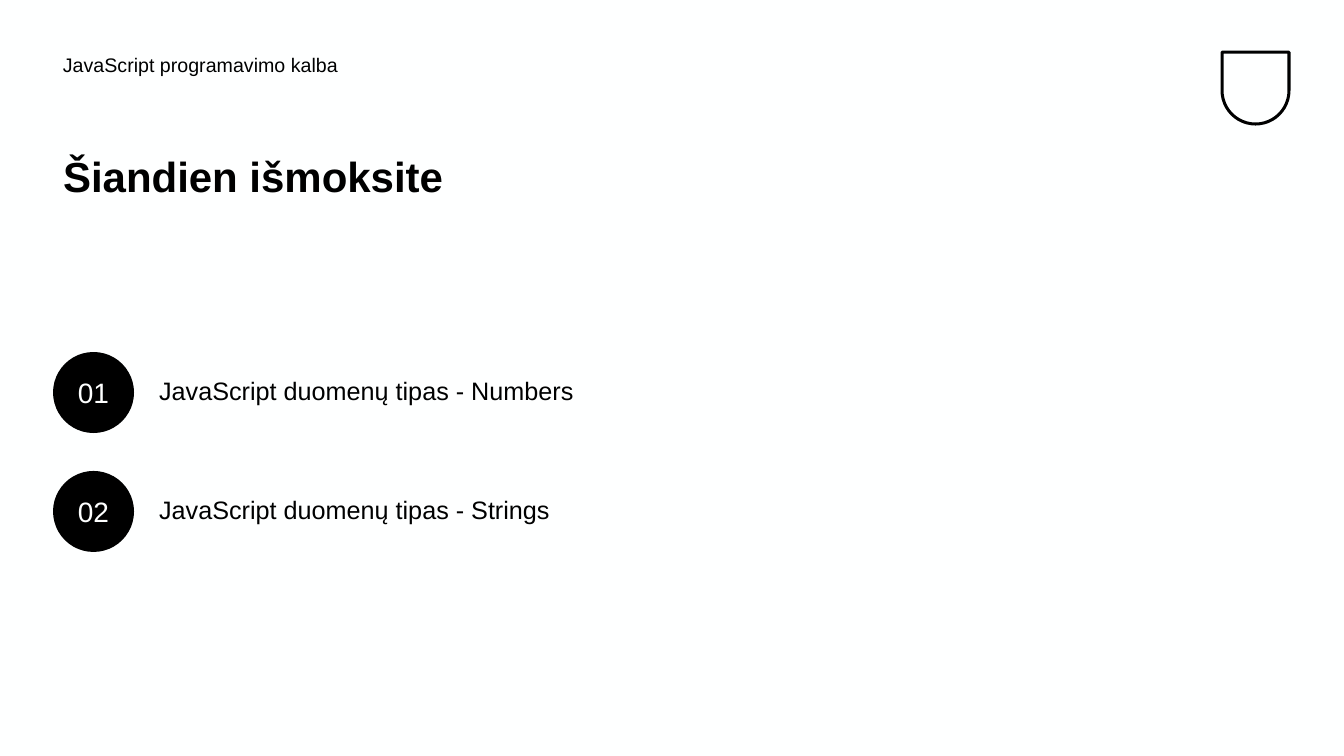
from collections import namedtuple
from dataclasses import dataclass

from lxml import etree
from pptx import Presentation
from pptx.dml.color import RGBColor
from pptx.enum.shapes import MSO_SHAPE
from pptx.enum.text import MSO_ANCHOR, MSO_AUTO_SIZE, PP_ALIGN
from pptx.oxml.ns import qn
from pptx.util import Pt

ELLIPSE = MSO_SHAPE.OVAL
SHIELD = MSO_SHAPE.ROUND_2_SAME_RECTANGLE
TOP, MIDDLE = MSO_ANCHOR.TOP, MSO_ANCHOR.MIDDLE
LEFT, CENTER = PP_ALIGN.LEFT, PP_ALIGN.CENTER
NO_AUTOFIT = MSO_AUTO_SIZE.NONE

EMU_PER_PX = 12192000 / 1344
Box = namedtuple("Box", "left top width height")


@dataclass(frozen=True)
class Theme:
    font: str = "Arial"
    ink: RGBColor = RGBColor(0x00, 0x00, 0x00)
    paper: RGBColor = RGBColor(0xFE, 0xFF, 0xFF)
    course_size: int = 14
    title_size: int = 30
    topic_size: int = 18
    number_size: int = 20


THEME = Theme()


def px(length):
    return round(length * EMU_PER_PX)


def place(shape, box):
    shape.left, shape.top, shape.width, shape.height = map(px, box)


def write(shape, text, size, color=THEME.ink, bold=False,
          align=LEFT, anchor=TOP, spacing=1.0):
    frame = shape.text_frame
    frame.text = text
    frame.word_wrap = True
    frame.auto_size = NO_AUTOFIT
    frame.vertical_anchor = anchor
    paragraph = frame.paragraphs[0]
    paragraph.alignment = align
    paragraph.line_spacing = spacing
    paragraph.space_before = Pt(0)
    font = paragraph.runs[0].font
    font.name = THEME.font
    font.size = Pt(size)
    font.bold = bold
    font.color.rgb = color


def remove_bullet(paragraph):
    properties = paragraph._p.get_or_add_pPr()
    properties.set("marL", "0")
    properties.set("indent", "0")
    etree.SubElement(properties, qn("a:buNone"))


def add_header(slide, box, course):
    label = slide.shapes.add_textbox(*map(px, (box.left, box.top, 748, 50)))
    write(label, course, THEME.course_size, spacing=0.9)
    badge_width = 67
    badge_left = box.left + box.width - badge_width
    badge = slide.shapes.add_shape(
        SHIELD, *map(px, (badge_left, box.top + 1, badge_width, 72)))
    badge.adjustments[0] = 0.5
    badge.rotation = 180
    badge.shadow.inherit = False
    badge.fill.background()
    badge.line.color.rgb = THEME.ink
    badge.line.width = px(3)


def add_title(slide, box, text):
    place(slide.shapes.title, box)
    write(slide.shapes.title, text, THEME.title_size, bold=True, spacing=0.9)


def add_topic(slide, box, placeholder, number, topic):
    circle = slide.shapes.add_shape(
        ELLIPSE, *map(px, (box.left, box.top, box.height, box.height)))
    circle.shadow.inherit = False
    circle.fill.solid()
    circle.fill.fore_color.rgb = THEME.ink
    circle.line.fill.background()
    write(circle, f"{number:02d}", THEME.number_size, THEME.paper,
          align=CENTER, anchor=MIDDLE)

    text_offset = 96
    place(placeholder, Box(box.left + text_offset, box.top + 18,
                           box.width - text_offset, 45))
    write(placeholder, topic, THEME.topic_size)
    remove_bullet(placeholder.text_frame.paragraphs[0])


def add_topics(slide, box, topics):
    circle_size = 81
    pitch = (box.height - circle_size) / (len(topics) - 1)
    for index, topic in enumerate(topics):
        row = Box(box.left, box.top + index * pitch, box.width, circle_size)
        add_topic(slide, row, slide.placeholders[index + 1], index + 1, topic)


def add_agenda_slide(presentation):
    slide = presentation.slides.add_slide(presentation.slide_layouts[3])
    slide.background.fill.solid()
    slide.background.fill.fore_color.rgb = THEME.paper
    add_header(slide, Box(53, 51, 1236, 75), "JavaScript programavimo kalba")
    add_title(slide, Box(53, 151, 569, 150), "Šiandien išmoksite")
    add_topics(slide, Box(53, 352, 563, 200), [
        "JavaScript duomenų tipas - Numbers",
        "JavaScript duomenų tipas - Strings",
    ])


def main():
    presentation = Presentation()
    presentation.slide_width = px(1344)
    presentation.slide_height = px(756)
    add_agenda_slide(presentation)
    presentation.save("out.pptx")


if __name__ == "__main__":
    main()
